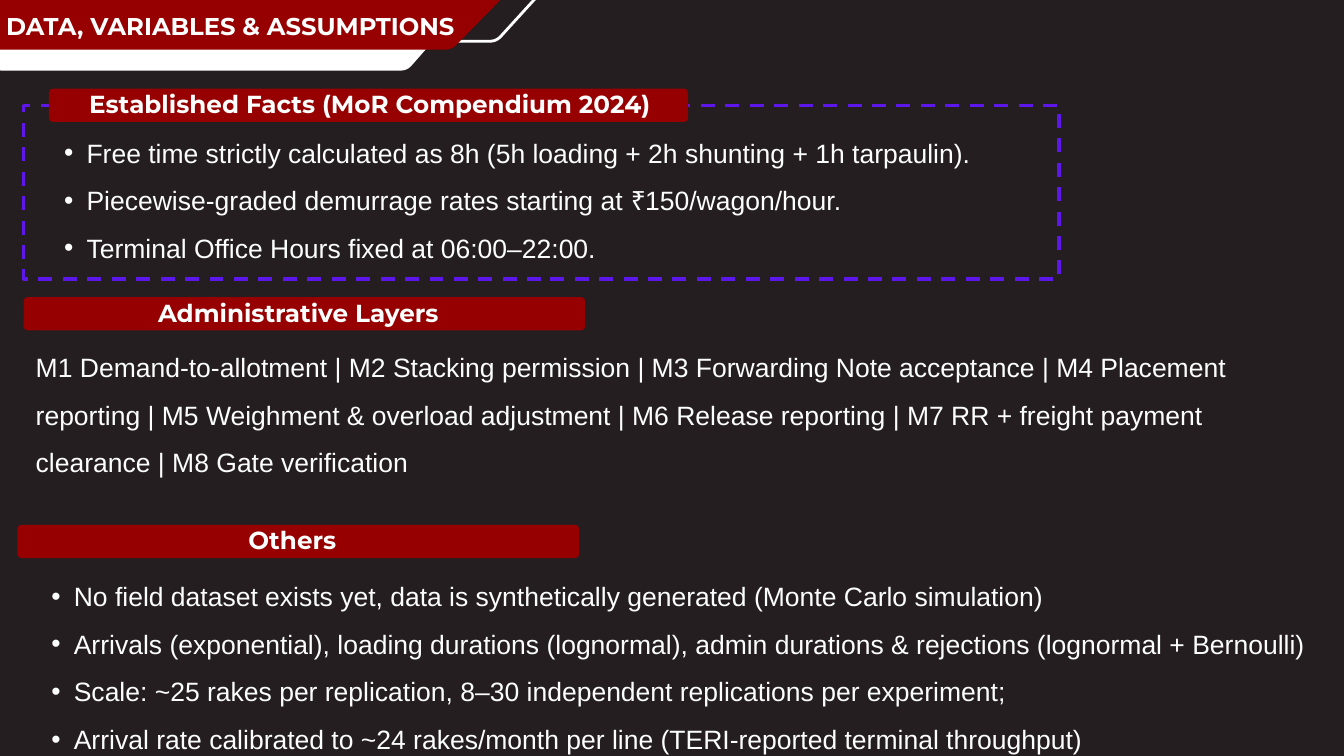
"""Build the slide on data, variables and assumptions."""
import pptx
import pptx.dml.color
import pptx.enum.dml
import pptx.enum.shapes
import pptx.enum.text
import pptx.oxml.ns
import pptx.util
from lxml import etree

Cm = pptx.util.Cm
Pt = pptx.util.Pt
RGBColor = pptx.dml.color.RGBColor
ALIGN = pptx.enum.text.PP_ALIGN
SHAPE = pptx.enum.shapes.MSO_SHAPE

BACKGROUND = RGBColor(0x24, 0x1E, 0x20)
WHITE = RGBColor(0xFF, 0xFF, 0xFF)
TEXT = RGBColor(0xFC, 0xFD, 0xFD)
RED = RGBColor(0x96, 0x00, 0x00)
VIOLET = RGBColor(0x5E, 0x17, 0xEB)


def add_banner(shapes, left, top, shoulder, tip, bottom):
    corners = [(left, top), (shoulder, top), (tip, (top + bottom) / 2),
               (shoulder, bottom), (left, bottom)]
    points = []
    for index, (x, y) in enumerate(corners):
        ends = []
        for near_x, near_y in (corners[index - 1], corners[(index + 1) % len(corners)]):
            ratio = 0.25 / ((near_x - x) ** 2 + (near_y - y) ** 2) ** 0.5
            ends.append((x + (near_x - x) * ratio, y + (near_y - y) * ratio))
        (start_x, start_y), (end_x, end_y) = ends
        for step in range(7):
            t = step / 6
            points.append((Cm((1 - t) ** 2 * start_x + 2 * t * (1 - t) * x + t ** 2 * end_x),
                           Cm((1 - t) ** 2 * start_y + 2 * t * (1 - t) * y + t ** 2 * end_y)))
    builder = shapes.build_freeform(*points[0])
    builder.add_line_segments(points[1:])
    banner = builder.convert_to_shape()
    banner.shadow.inherit = False
    return banner


def write_text(box, place, lines, size, spacing, font="Arial", color=TEXT,
               align=ALIGN.LEFT, bulleted=False):
    box.left, box.top, box.width, box.height = [Cm(length) for length in place]
    frame = box.text_frame
    frame.word_wrap = True
    frame.auto_size = pptx.enum.text.MSO_AUTO_SIZE.NONE
    frame.vertical_anchor = pptx.enum.text.MSO_ANCHOR.TOP
    frame.margin_left = frame.margin_right = frame.margin_top = frame.margin_bottom = 0
    frame.text = "\n".join(lines)
    for para in frame.paragraphs:
        para.alignment = align
        para.line_spacing = Pt(spacing)
        para.space_before = Pt(0)
        if bulleted:
            para.level = 1
            properties = para._p.get_or_add_pPr()
            properties.set("marL", str(Cm(1.7)))
            properties.set("indent", str(Cm(-0.85)))
            for tag, name, value in (("a:buFont", "typeface", "Arial"), ("a:buChar", "char", "•")):
                etree.SubElement(properties, pptx.oxml.ns.qn(tag)).set(name, value)
        for span in para.runs:
            span.font.size = Pt(size)
            span.font.name = font
            span.font.bold = font == "Montserrat"
            span.font.color.rgb = color


deck = pptx.Presentation()
deck.slide_width = Cm(50.8)
deck.slide_height = Cm(28.58)
page = deck.slides.add_slide(deck.slide_layouts.get_by_name("Two Content"))
page.background.fill.solid()
page.background.fill.fore_color.rgb = BACKGROUND
shapes = page.shapes
title, facts, others = page.placeholders

outline = add_banner(shapes, -3.05, -3.07, 18.76, 20.87, 1.56)
outline.fill.background()
outline.line.color.rgb = WHITE
outline.line.width = Pt(3)

for color, edges in ((WHITE, (-0.18, -2.21, 15.39, 17.53, 2.67)),
                     (RED, (-0.18, -2.46, 17.07, 19.2, 1.88))):
    banner = add_banner(shapes, *edges)
    banner.fill.solid()
    banner.fill.fore_color.rgb = color
    banner.line.fill.background()

write_text(title, (0.23, 0.23, 17.2, 1.22), ["DATA, VARIABLES & ASSUMPTIONS"],
           26, 36.5, "Montserrat", WHITE)
shapes._spTree.append(title._element)

frame_box = shapes.add_shape(SHAPE.RECTANGLE, Cm(0.89), Cm(3.98), Cm(39.14), Cm(6.57))
frame_box.shadow.inherit = False
frame_box.fill.background()
frame_box.line.color.rgb = VIOLET
frame_box.line.width = Pt(3.75)
frame_box.line.dash_style = pptx.enum.dml.MSO_LINE.DASH

headings = [
    ("Established Facts (MoR Compendium 2024)", 1.85, 3.35, 24.16, 22.1),
    ("Administrative Layers", 0.89, 11.23, 21.23, 18.62),
    ("Others", 0.66, 19.84, 21.23, 18.62),
]
for heading, left, top, bar_width, text_width in headings:
    bar = shapes.add_shape(SHAPE.ROUNDED_RECTANGLE, Cm(left), Cm(top), Cm(bar_width), Cm(1.26))
    bar.adjustments[0] = 0.13
    bar.shadow.inherit = False
    bar.fill.solid()
    bar.fill.fore_color.rgb = RED
    bar.line.fill.background()
    label = shapes.add_textbox(0, 0, 0, 0)
    write_text(label, (left + 1.08, top - 0.17, text_width, 1.27), [heading],
               26.4, 37, "Montserrat", align=ALIGN.CENTER)

write_text(facts, (1.57, 4.57, 37.34, 5.21), [
    "Free time strictly calculated as 8h (5h loading + 2h shunting + 1h tarpaulin).",
    "Piecewise-graded demurrage rates starting at ₹150/wagon/hour.",
    "Terminal Office Hours fixed at 06:00–22:00.",
], 28.4, 51, bulleted=True)

layers = " | ".join([
    "M1 Demand-to-allotment", "M2 Stacking permission", "M3 Forwarding Note acceptance",
    "M4 Placement reporting", "M5 Weighment & overload adjustment", "M6 Release reporting",
    "M7 RR + freight payment clearance", "M8 Gate verification",
])
write_text(shapes.add_textbox(0, 0, 0, 0), (1.35, 12.67, 47.35, 5.21), [layers], 28.4, 51)

write_text(others, (1.09, 21.34, 48.77, 7.09), [
    "No field dataset exists yet, data is synthetically generated (Monte Carlo simulation)",
    "Arrivals (exponential), loading durations (lognormal), "
    "admin durations & rejections (lognormal + Bernoulli)",
    "Scale: ~25 rakes per replication, 8–30 independent replications per experiment;",
    "Arrival rate calibrated to ~24 rakes/month per line (TERI-reported terminal throughput)",
], 28.4, 51, bulleted=True)

deck.save("out.pptx")
